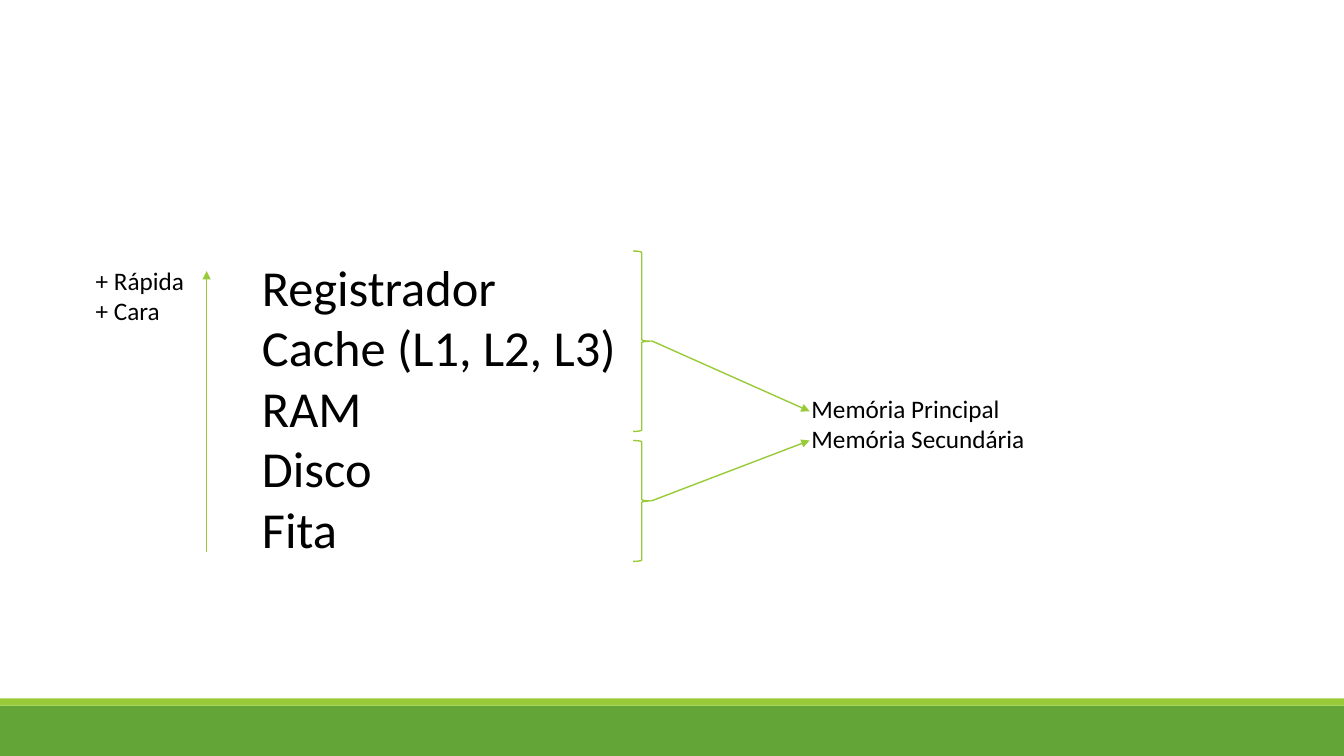
"""Build a slide showing the memory hierarchy, from registers to tape."""
from lxml import etree
from pptx import Presentation
from pptx.dml.color import RGBColor
from pptx.enum.shapes import MSO_CONNECTOR, MSO_SHAPE
from pptx.oxml.ns import qn
from pptx.util import Inches, Pt

RECTANGLE = MSO_SHAPE.RECTANGLE
RIGHT_BRACE = MSO_SHAPE.RIGHT_BRACE
STRAIGHT = MSO_CONNECTOR.STRAIGHT
LIME = "99CB38"
GREEN = "63A537"
BLACK = "000000"


def color(value):
    return RGBColor.from_string(value)


presentation = Presentation()
presentation.slide_width = Inches(13.33)
presentation.slide_height = Inches(7.5)
slide = presentation.slides.add_slide(presentation.slide_layouts[6])

footer_bands = [(7, 0.5, GREEN), (6.93, 0.07, LIME)]
for top, height, fill in footer_bands:
    band = slide.shapes.add_shape(
        RECTANGLE, 0, Inches(top), presentation.slide_width, Inches(height))
    band.shadow.inherit = False
    band.fill.solid()
    band.fill.fore_color.rgb = color(fill)
    band.line.fill.background()

labels = [
    ("Registrador\nCache (L1, L2, L3)\nRAM\nDisco\nFita", 36, True, (2.5, 2.49, 6.3, 3.13)),
    ("+ Rápida\n+ Cara", 18, False, (0.85, 2.58, 1.09, 0.71)),
    ("Memória Principal\nMemória Secundária", 18, False, (7.95, 3.85, 2.34, 0.71)),
]
for text, size, wrap, box in labels:
    label = slide.shapes.add_textbox(*[Inches(length) for length in box])
    label.text_frame.word_wrap = wrap
    label.text_frame.text = text
    for paragraph in label.text_frame.paragraphs:
        font = paragraph.runs[0].font
        font.name = "Calibri"
        font.size = Pt(size)
        font.color.rgb = color(BLACK)

for top, height in [(2.49, 1.79), (4.37, 1.2)]:
    brace = slide.shapes.add_shape(
        RIGHT_BRACE, Inches(6.28), Inches(top), Inches(0.17), Inches(height))
    brace.shadow.inherit = False
    brace.fill.background()
    brace.line.color.rgb = color(LIME)
    brace.line.width = Pt(1)

arrows = [
    (2.05, 5.48, 2.05, 2.69),
    (6.46, 3.38, 8.03, 4.08),
    (6.46, 4.97, 8.03, 4.37),
]
for ends in arrows:
    arrow = slide.shapes.add_connector(STRAIGHT, *[Inches(length) for length in ends])
    arrow.line.color.rgb = color(LIME)
    arrow.line.width = Pt(1)
    etree.SubElement(arrow.line._get_or_add_ln(), qn("a:tailEnd"), type="triangle")
    etree.SubElement(arrow._element.spPr, qn("a:effectLst"))

presentation.save("out.pptx")
